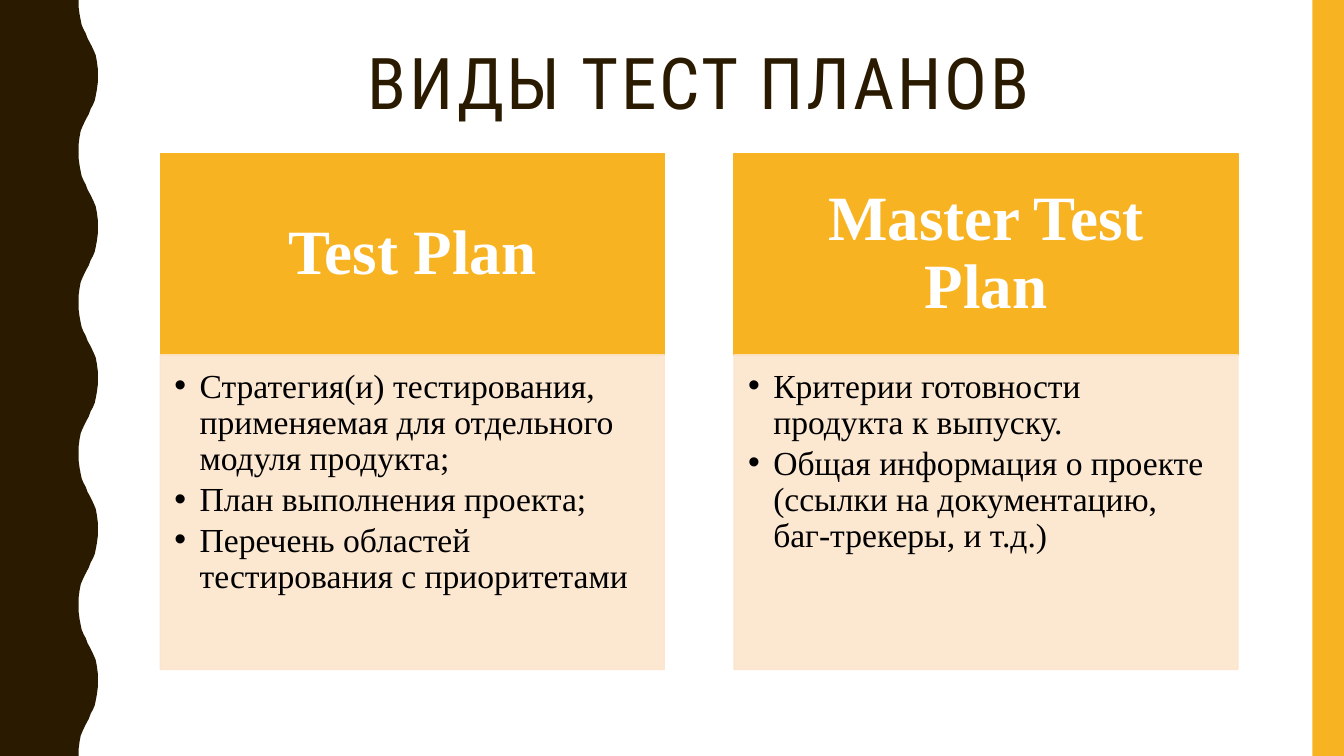
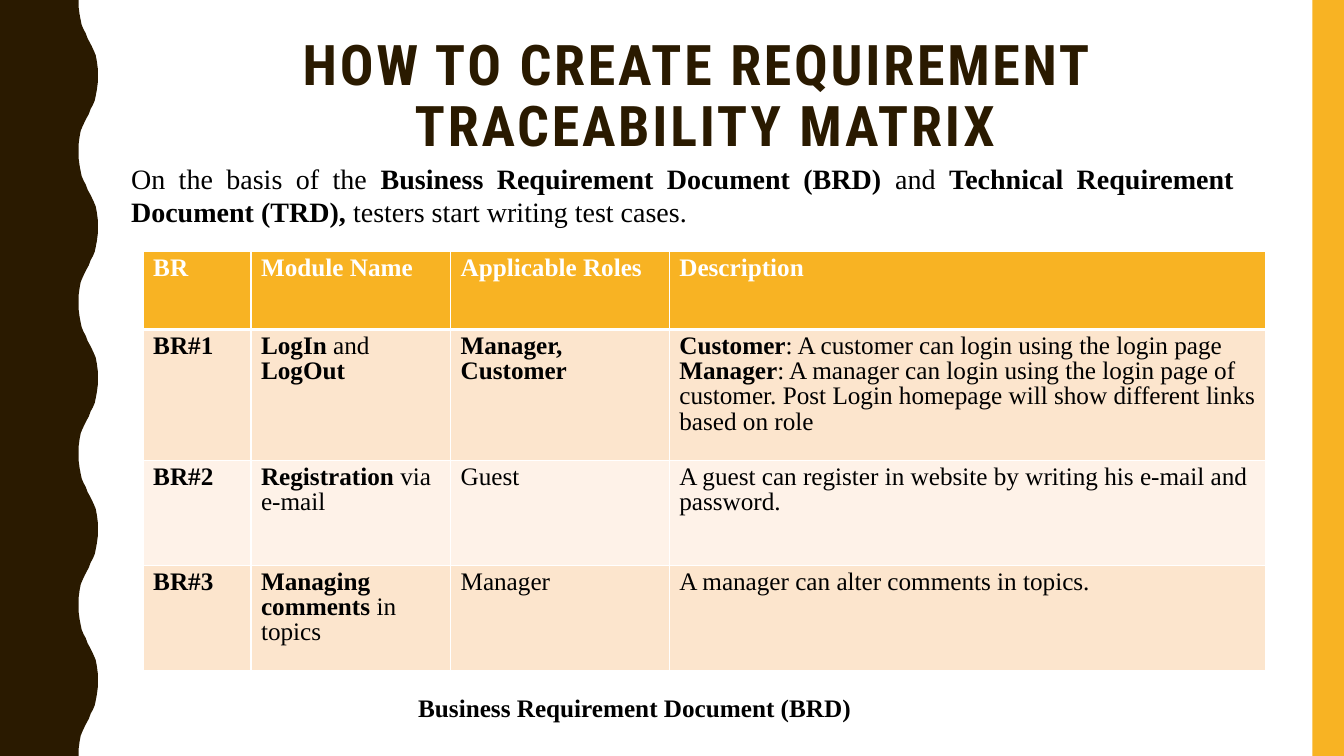
from dataclasses import dataclass
from itertools import accumulate
from typing import NamedTuple, Optional, Sequence

from lxml.etree import SubElement
from pptx import Presentation
from pptx.dml.color import RGBColor
from pptx.enum.shapes import MSO_SHAPE
from pptx.enum.text import MSO_ANCHOR as Anchor, MSO_AUTO_SIZE as AutoSize, PP_ALIGN as Align
from pptx.oxml.ns import qn
from pptx.util import Emu, Inches, Pt

SLIDE_WIDTH, SLIDE_HEIGHT = Inches(13.333), Inches(7.5)


@dataclass(frozen=True)
class Theme:
    dark: str = "2A1A00"
    accent: str = "F8B323"
    tint: str = "FCE5CD"
    pale: str = "FEF2E8"
    white: str = "FFFFFF"
    black: str = "000000"
    title_font: str = "Roboto Condensed"
    text_font: str = "Times New Roman"
    title_size: int = 51
    long_title_size: int = 40
    card_heading_size: int = 45
    card_list_size: int = 24
    intro_size: int = 20
    table_size: int = 18


THEME = Theme()


class Box(NamedTuple):
    """A rectangle in percent of the slide's width and height."""
    left: float
    top: float
    width: float
    height: float

    def lengths(self) -> tuple[Emu, Emu, Emu, Emu]:
        return across(self.left), down(self.top), across(self.width), down(self.height)


class Run(NamedTuple):
    text: str
    bold: bool = False


@dataclass(frozen=True)
class Style:
    size: float
    color: str = THEME.black
    font: str = THEME.text_font
    align: Align = Align.LEFT
    line_spacing: float = 1.0
    space_after: float = 0
    letter_spacing: float = 0
    bullet: bool = False


@dataclass(frozen=True)
class Card:
    heading: str
    points: tuple[str, ...]


Paragraphs = Sequence[Sequence[Run]]

TITLE_STYLE = Style(THEME.title_size, THEME.dark, THEME.title_font, Align.CENTER, 0.9,
                    letter_spacing=2)
LONG_TITLE_STYLE = Style(THEME.long_title_size, THEME.dark, THEME.title_font, Align.CENTER, 0.9,
                         letter_spacing=2)
HEADING_STYLE = Style(THEME.card_heading_size, THEME.white, align=Align.CENTER, line_spacing=0.9)
LIST_STYLE = Style(THEME.card_list_size, line_spacing=0.9, space_after=3.3, bullet=True)
INTRO_STYLE = Style(THEME.intro_size, align=Align.JUSTIFY)
CAPTION_STYLE = Style(THEME.table_size)
CELL_STYLE = Style(THEME.table_size, line_spacing=0.9)
HEADER_STYLE = Style(THEME.table_size, THEME.white, line_spacing=0.9)

ACCENT_BAND = Box(97.65, 0, 2.35, 100)
WAVE_LEFT, WAVE_SWING, HALF_WAVES = 5.85, 1.43, 10
# Height and swing along half a wave, as shares of each.
HALF_WAVE = ((0, 0), (0.09, 0), (0.19, 0.05), (0.27, 0.11), (0.33, 0.16), (0.39, 0.26),
             (0.44, 0.37), (0.51, 0.47), (0.56, 0.58), (0.61, 0.68), (0.67, 0.79),
             (0.73, 0.89), (0.81, 0.95), (0.91, 1))

CARD_HEADING = Box(11.93, 20.27, 37.5, 26.67)
CARD_LIST = Box(11.93, 46.94, 37.5, 41.6)
CARD_PITCH = 42.68
CARDS = (
    Card("Test Plan", (
        "Стратегия(и) тестирования, применяемая для отдельного модуля продукта;",
        "План выполнения проекта;",
        "Перечень областей тестирования с приоритетами")),
    Card("Master Test Plan", (
        "Критерии готовности продукта к выпуску.",
        "Общая информация о проекте (ссылки на документацию, баг-трекеры, и т.д.)")),
)

TABLE_BOX = Box(10.65, 33.2, 83.55, 55.47)
COLUMN_WEIGHTS = (1.07, 1.98, 2.17, 5.92)
ROW_WEIGHTS = (3, 5, 4, 4)
ROW_FILLS = (THEME.accent, THEME.tint, THEME.pale, THEME.tint)
HEADERS = ("BR", "Module Name", "Applicable Roles", "Description")
REQUIREMENTS: tuple[tuple[Paragraphs, ...], ...] = (
    tuple([[Run(header, True)]] for header in HEADERS),
    ([[Run("BR#1", True)]],
     [[Run("LogIn", True), Run(" and "), Run("LogOut", True)]],
     [[Run("Manager,", True)], [Run("Customer", True)]],
     [[Run("Customer", True), Run(": A customer can login using the login page")],
      [Run("Manager", True), Run(": A manager can login using the login page of customer. "
                                 "Post Login homepage will show different links based on role")]]),
    ([[Run("BR#2", True)]],
     [[Run("Registration", True), Run(" via e-mail")]],
     [[Run("Guest")]],
     [[Run("A guest can register in website by writing his e-mail and password.")]]),
    ([[Run("BR#3", True)]],
     [[Run("Managing comments ", True), Run("in topics")]],
     [[Run("Manager")]],
     [[Run("A manager can alter comments in topics.")]]),
)
INTRO = [[Run("On the basis of the "), Run("Business Requirement Document (BRD) ", True),
          Run("and "), Run("Technical Requirement Document (TRD), ", True),
          Run("testers start writing test cases.")]]


def across(percent: float) -> Emu:
    return Emu(round(SLIDE_WIDTH * percent / 100))


def down(percent: float) -> Emu:
    return Emu(round(SLIDE_HEIGHT * percent / 100))


def place(shape, box: Box) -> None:
    shape.left, shape.top, shape.width, shape.height = box.lengths()


def paint(shape, color: str, opacity: Optional[int] = None) -> None:
    """Fill and outline a shape in one colour, with an optional opacity in percent."""
    for fill in (shape.fill, shape.line.fill):
        fill.solid()
        fill.fore_color.rgb = RGBColor.from_string(color)
    shape.line.width = Pt(1)
    if opacity is not None:
        for color_element in shape.element.spPr.iter(qn("a:srgbClr")):
            SubElement(color_element, qn("a:alpha"), val=str(opacity * 1000))


def set_bullet(paragraph, bullet: bool) -> None:
    properties = paragraph._p.get_or_add_pPr()
    indent = Inches(0.25) if bullet else 0
    properties.set("marL", str(indent))
    properties.set("indent", str(-indent))
    if bullet:
        SubElement(properties, qn("a:buChar"), char="•")
    else:
        SubElement(properties, qn("a:buNone"))


def write(frame, paragraphs: Paragraphs, style: Style) -> None:
    """Fill a text frame; a run that is a newline becomes a line break."""
    for index, runs in enumerate(paragraphs):
        paragraph = frame.add_paragraph() if index else frame.paragraphs[0]
        paragraph.alignment = style.align
        paragraph.line_spacing = style.line_spacing
        paragraph.space_before = Pt(0)
        paragraph.space_after = Pt(style.space_after)
        set_bullet(paragraph, style.bullet)
        for text, bold in runs:
            if text == "\n":
                paragraph.add_line_break()
                continue
            run = paragraph.add_run()
            run.text = text
            run.font.name = style.font
            run.font.size = Pt(style.size)
            run.font.bold = bold
            run.font.color.rgb = RGBColor.from_string(style.color)
            if style.letter_spacing:
                run.font._element.set("spc", str(round(style.letter_spacing * 100)))


def fill_placeholder(shape, box: Box, paragraphs: Paragraphs, style: Style,
                     anchor: Anchor = Anchor.TOP,
                     insets: tuple[float, float, float, float] = (0.1, 0.05, 0.1, 0.05)) -> None:
    place(shape, box)
    frame = shape.text_frame
    frame.word_wrap = True
    frame.auto_size = AutoSize.NONE
    frame.vertical_anchor = anchor
    (frame.margin_left, frame.margin_top,
     frame.margin_right, frame.margin_bottom) = map(Inches, insets)
    write(frame, paragraphs, style)


def decorate_master(presentation, slide) -> None:
    """Draw the wave and the accent band, then move them to the slide master."""
    outline = [(0, 0)]
    half_height = 100 / HALF_WAVES
    for half in range(HALF_WAVES):
        for rise, swing in HALF_WAVE:
            share = 1 - swing if half % 2 else swing
            outline.append((across(WAVE_LEFT + WAVE_SWING * share),
                            down(half_height * (half + rise))))
    outline += [(across(WAVE_LEFT), SLIDE_HEIGHT), (0, SLIDE_HEIGHT)]
    builder = slide.shapes.build_freeform(*outline[0])
    builder.add_line_segments(outline[1:])
    wave = builder.convert_to_shape()
    band = slide.shapes.add_shape(MSO_SHAPE.RECTANGLE, *ACCENT_BAND.lengths())
    for shape, color in ((wave, THEME.dark), (band, THEME.accent)):
        paint(shape, color)
        shape.line.fill.background()
        shape.shadow.inherit = False
        presentation.slide_master.shapes.element.insert(2, shape.element)


def draw_cards(slide) -> None:
    for index, card in enumerate(CARDS):
        shift = index * CARD_PITCH
        heading, points = (slide.placeholders[2 * index + 1], slide.placeholders[2 * index + 2])
        fill_placeholder(heading, CARD_HEADING._replace(left=CARD_HEADING.left + shift),
                         [[Run(card.heading, True)]], HEADING_STYLE, Anchor.MIDDLE,
                         (0.35, 0.2, 0.35, 0.2))
        paint(heading, THEME.accent)
        fill_placeholder(points, CARD_LIST._replace(left=CARD_LIST.left + shift),
                         [[Run(point)] for point in card.points], LIST_STYLE,
                         insets=(0.14, 0.14, 0.19, 0.21))
        paint(points, THEME.tint, 90)


def set_borders(cell, bottom_width: float) -> None:
    properties = cell._tc.get_or_add_tcPr()
    for side, width in (("L", 1), ("R", 1), ("T", 1), ("B", bottom_width)):
        line = SubElement(properties, qn(f"a:ln{side}"), w=str(Pt(width)))
        SubElement(SubElement(line, qn("a:solidFill")), qn("a:srgbClr"), val=THEME.white)


def split(length: int, weights: Sequence[float]) -> list[Emu]:
    """Divide a length by weight, with no rounding left over."""
    edges = [0] + [round(length * part / sum(weights)) for part in accumulate(weights)]
    return [Emu(end - start) for start, end in zip(edges, edges[1:])]


def draw_requirements(slide) -> None:
    frame = slide.shapes.add_table(len(ROW_WEIGHTS), len(COLUMN_WEIGHTS), *TABLE_BOX.lengths())
    table = frame.table
    for column, width in zip(table.columns, split(across(TABLE_BOX.width), COLUMN_WEIGHTS)):
        column.width = width
    for row, height in zip(table.rows, split(down(TABLE_BOX.height), ROW_WEIGHTS)):
        row.height = height
    for row_index, (contents, fill) in enumerate(zip(REQUIREMENTS, ROW_FILLS)):
        is_header = row_index == 0
        for column_index, paragraphs in enumerate(contents):
            cell = table.cell(row_index, column_index)
            set_borders(cell, 3 if is_header else 1)
            cell.fill.solid()
            cell.fill.fore_color.rgb = RGBColor.from_string(fill)
            write(cell.text_frame, paragraphs, HEADER_STYLE if is_header else CELL_STYLE)


def draw_caption(slide) -> None:
    caption = slide.shapes.add_textbox(*Box(30.38, 90.93, 34.5, 5.33).lengths())
    caption.text_frame.word_wrap = False
    write(caption.text_frame, [[Run("Business Requirement Document (BRD)", True)]], CAPTION_STYLE)


def main() -> None:
    presentation = Presentation()
    presentation.slide_width, presentation.slide_height = SLIDE_WIDTH, SLIDE_HEIGHT
    layouts = presentation.slide_layouts

    plans = presentation.slides.add_slide(layouts.get_by_name("Comparison"))
    decorate_master(presentation, plans)
    fill_placeholder(plans.shapes.title, Box(10.28, 5.6, 83.48, 13.87),
                     [[Run("ВИДЫ ТЕСТ ПЛАНОВ")]], TITLE_STYLE)
    draw_cards(plans)

    matrix = presentation.slides.add_slide(layouts.get_by_name("Title and Content"))
    fill_placeholder(matrix.shapes.title, Box(9, 4.27, 86.93, 10.4),
                     [[Run("HOW TO CREATE REQUIREMENT ", True), Run("\n"),
                       Run("TRACEABILITY MATRIX", True)]], LONG_TITLE_STYLE)
    fill_placeholder(matrix.placeholders[1], Box(9, 20.67, 83.55, 10.27), INTRO, INTRO_STYLE)
    draw_requirements(matrix)
    draw_caption(matrix)

    presentation.save("out.pptx")


if __name__ == "__main__":
    main()
